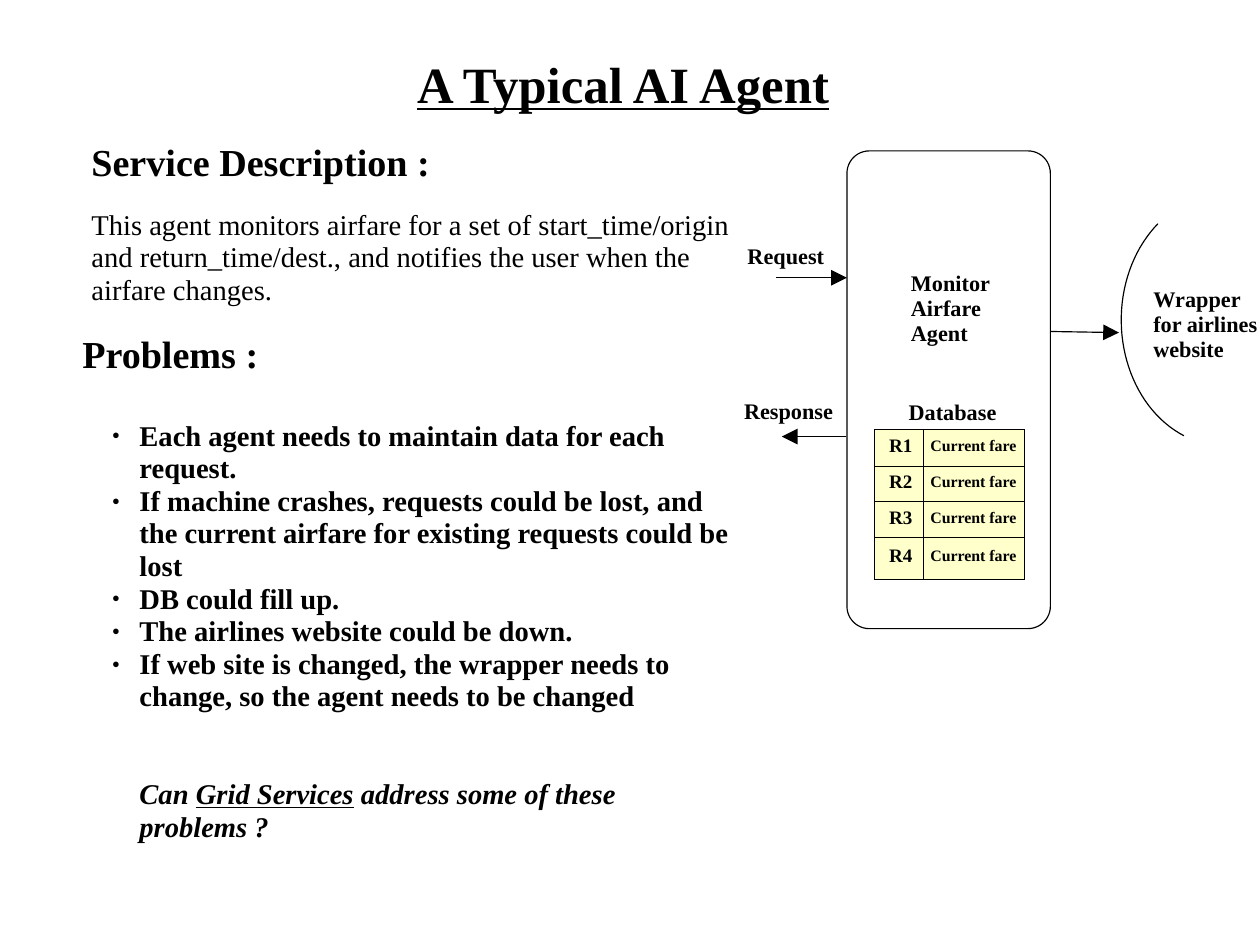
import math
from lxml import etree
from pptx import Presentation
from pptx import util as u
from pptx.dml.color import RGBColor
from pptx.enum import shapes, text
from pptx.oxml import parse_xml
from pptx.oxml.ns import nsdecls, qn

BLACK = RGBColor(0x00, 0x00, 0x00)
PALE_YELLOW = RGBColor(0xFF, 0xFF, 0xCC)
FONT = "Times New Roman"
HAIRLINE = u.Pt(0.75)
CM_PER_INCH = 2.54

PROBLEMS = [
    "Each agent needs to maintain data for each request.",
    "If machine crashes, requests could be lost, and the current airfare for existing requests could be lost",
    "DB could fill up.",
    "The airlines website could be down.",
    "If web site is changed, the wrapper needs to change, so the agent needs to be changed",
]
LABELS = [
    ("Monitor Airfare Agent", 7.97, 2.37, 0.8, 0.67, True),
    ("Wrapper for airlines website", 10.09, 2.51, 0.94, 0.67, True),
    ("Request", 6.54, 2.14, 0.7, 0.22, False),
    ("Response", 6.51, 3.49, 0.8, 0.22, False),
    ("Database", 7.95, 3.5, 0.8, 0.22, False),
]
ARROWS = [
    (6.79, 2.43, 7.41, 2.43),
    (7.4, 3.82, 6.84, 3.82),
    (9.19, 2.9, 9.79, 2.91),
]
FARE_ROW_HEIGHTS = [0.32, 0.31, 0.31, 0.37]


def apply(target, values):
    for key, value in values.items():
        setattr(target, key, value)


def place(box, left, top, width, height):
    apply(box, {"left": u.Inches(left), "top": u.Inches(top),
                "width": u.Inches(width), "height": u.Inches(height)})


def prepare_frame(frame, wrap=True):
    apply(frame, {"margin_left": 0, "margin_right": 0, "margin_top": 0, "margin_bottom": 0,
                  "word_wrap": wrap, "vertical_anchor": text.MSO_ANCHOR.TOP,
                  "auto_size": text.MSO_AUTO_SIZE.SHAPE_TO_FIT_TEXT})


def add_words(paragraph, words, size, **style):
    run = paragraph.add_run()
    run.text = words
    apply(run.font, {"name": FONT, "size": u.Pt(size), "bold": True, **style})
    run.font.color.rgb = BLACK


def format_paragraph(paragraph, before=0, after=0, margin=0, hanging=0, bullet=False):
    apply(paragraph, {"alignment": text.PP_ALIGN.LEFT, "line_spacing": 0.95,
                      "space_before": u.Pt(before), "space_after": u.Pt(after)})
    properties = paragraph._p.get_or_add_pPr()
    properties.set("marL", str(u.Inches(margin)))
    properties.set("indent", str(-u.Inches(hanging)))
    if bullet:
        color = etree.SubElement(properties, qn("a:buClr"))
        etree.SubElement(color, qn("a:srgbClr"), val=str(BLACK))
        etree.SubElement(properties, qn("a:buSzPct"), val="45000")
        etree.SubElement(properties, qn("a:buChar"), char="●")
    else:
        etree.SubElement(properties, qn("a:buNone"))


def fill_title(title):
    place(title, 3.65, 0.5, 3.92, 0.51)
    prepare_frame(title.text_frame)
    heading = title.text_frame.paragraphs[0]
    format_paragraph(heading)
    add_words(heading, "A Typical AI Agent", 32, underline=True)


def fill_service(body):
    place(body, 0.8, 1.24, 5.6, 1.73)
    frame = body.text_frame
    prepare_frame(frame)
    heading = frame.paragraphs[0]
    format_paragraph(heading, after=15)
    add_words(heading, "Service Description :", 24)
    for sentence in ("This agent monitors airfare for a set of start_time/origin",
                     "and return_time/dest., and notifies the user when the airfare changes."):
        description = frame.add_paragraph()
        format_paragraph(description)
        add_words(description, sentence, 18, bold=False)


def fill_problems(body):
    place(body, 0.72, 2.92, 5.82, 5.03)
    frame = body.text_frame
    prepare_frame(frame)
    heading = frame.paragraphs[0]
    format_paragraph(heading, after=27)
    add_words(heading, "Problems :", 24)
    for problem in PROBLEMS:
        item = frame.add_paragraph()
        item.level = 1
        format_paragraph(item, margin=0.5, hanging=0.24, bullet=True)
        add_words(item, problem, 18)
    question = frame.add_paragraph()
    question.level = 1
    format_paragraph(question, before=41, margin=0.5)
    for words, underline in (("Can ", False), ("Grid Services", True),
                             (" address some of these problems ?", False)):
        add_words(question, words, 18, italic=True, underline=underline)


def add_label(slide, words, left, top, width, height, wrap):
    label = slide.shapes.add_textbox(*map(u.Inches, (left, top, width, height)))
    prepare_frame(label.text_frame, wrap)
    paragraph = label.text_frame.paragraphs[0]
    paragraph.line_spacing = 0.95
    add_words(paragraph, words, 14)


def outline(shape):
    shape.shadow.inherit = False
    shape.fill.background()
    shape.line.color.rgb = BLACK
    shape.line.width = HAIRLINE


def add_agent(slide):
    agent = slide.shapes.add_shape(shapes.MSO_SHAPE.ROUNDED_RECTANGLE,
                                   *map(u.Inches, (7.41, 1.32, 1.78, 4.18)))
    agent.adjustments[0] = 0.11
    outline(agent)


def add_wrapper_arc(slide):
    points = [(u.Inches(10.71 - 0.9 * math.cos(math.radians(angle))),
               u.Inches(2.8 + 1.1 * math.sin(math.radians(angle))))
              for angle in range(-50, 68, 3)]
    builder = slide.shapes.build_freeform(*points[0])
    builder.add_line_segments(points[1:], close=False)
    outline(builder.convert_to_shape())


def add_arrow(slide, *ends):
    arrow = slide.shapes.add_connector(shapes.MSO_CONNECTOR.STRAIGHT, *map(u.Inches, ends))
    arrow.line.color.rgb = BLACK
    arrow.line.width = HAIRLINE
    etree.SubElement(arrow.line._get_or_add_ln(), qn("a:tailEnd"), type="triangle", w="lg", len="lg")
    etree.SubElement(arrow._element.spPr, qn("a:effectLst"))


def border_cell(cell):
    properties = cell._tc.get_or_add_tcPr()
    for index, side in enumerate(("lnL", "lnR", "lnT", "lnB")):
        properties.insert(index, parse_xml(
            f'<a:{side} {nsdecls("a")} w="{HAIRLINE}"><a:solidFill>'
            f'<a:srgbClr val="{BLACK}"/></a:solidFill></a:{side}>'))


def add_fares(slide):
    fares = slide.shapes.add_table(4, 2, *map(u.Inches, (7.65, 3.76, 1.31, 1.31))).table
    apply(fares, {"first_row": False, "horz_banding": False})
    for column, width in zip(fares.columns, (0.43, 0.88)):
        column.width = u.Inches(width)
    for number, height in enumerate(FARE_ROW_HEIGHTS):
        fares.rows[number].height = u.Inches(height)
        entries = ((f"R{number + 1}", 12, 0.13), ("Current fare", 10, 0.06))
        for cell, (words, size, margin) in zip(fares.rows[number].cells, entries):
            apply(cell, {"margin_left": u.Inches(margin), "margin_right": 0,
                         "margin_top": 0, "margin_bottom": u.Inches(0.03),
                         "vertical_anchor": text.MSO_ANCHOR.MIDDLE})
            cell.fill.solid()
            cell.fill.fore_color.rgb = PALE_YELLOW
            border_cell(cell)
            add_words(cell.text_frame.paragraphs[0], words, size)


def main():
    deck = Presentation()
    deck.slide_width = u.Inches(28 / CM_PER_INCH)
    deck.slide_height = u.Inches(21 / CM_PER_INCH)
    slide = deck.slides.add_slide(deck.slide_layouts[3])
    title, service, problems = list(slide.placeholders)[:3]
    fill_title(title)
    fill_service(service)
    fill_problems(problems)
    for placeholder in list(slide.placeholders):
        if not placeholder.text_frame.text:
            placeholder._element.getparent().remove(placeholder._element)
    add_agent(slide)
    add_fares(slide)
    for arrow in ARROWS:
        add_arrow(slide, *arrow)
    add_wrapper_arc(slide)
    for label in LABELS:
        add_label(slide, *label)
    deck.save("out.pptx")


if __name__ == "__main__":
    main()
